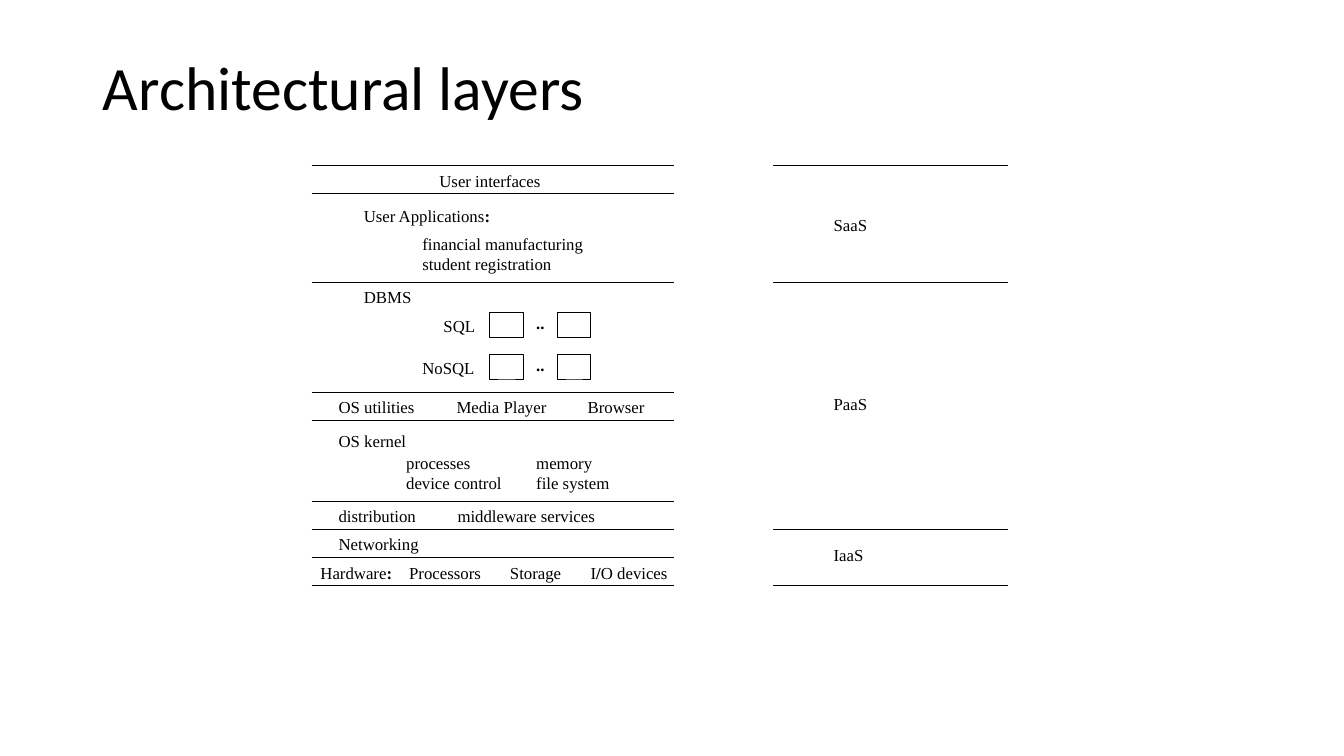
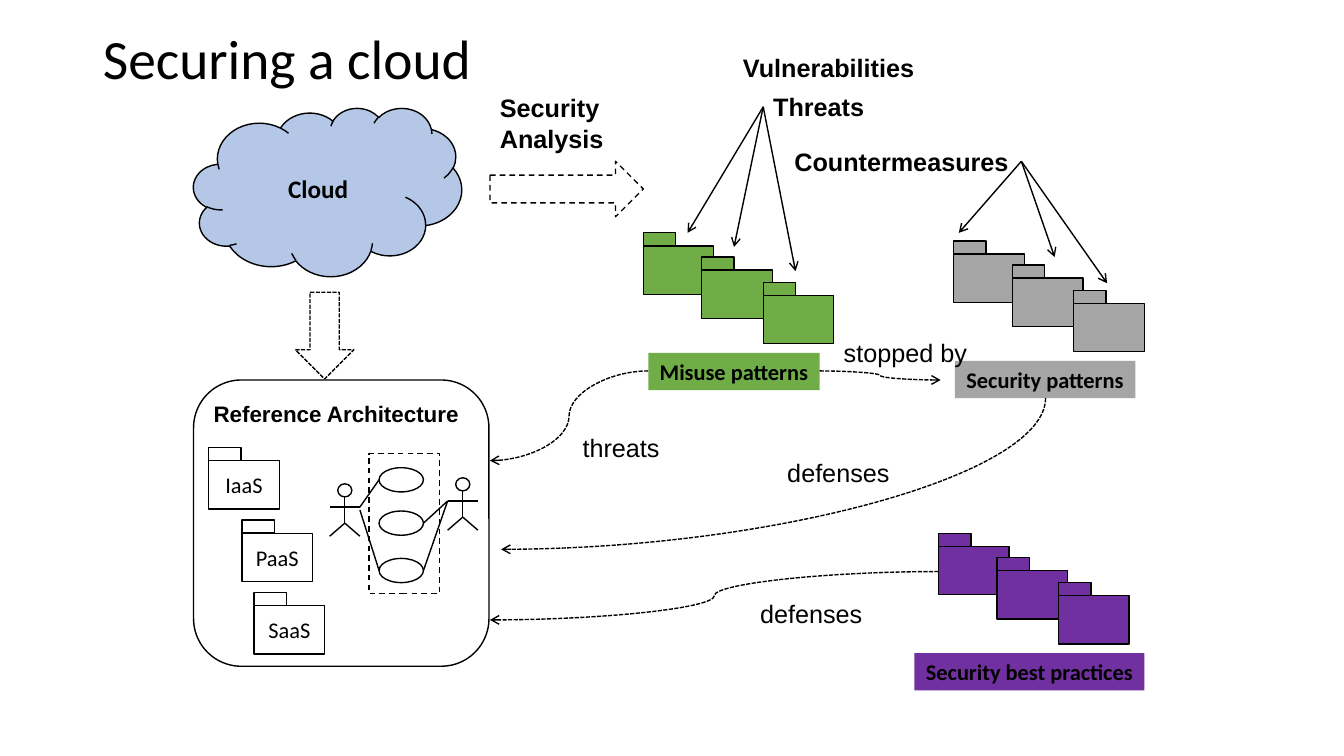
from lxml.etree import SubElement
from pptx import Presentation
from pptx.dml.color import RGBColor
from pptx.enum.dml import MSO_LINE
from pptx.enum.shapes import MSO_CONNECTOR, MSO_SHAPE
from pptx.enum.text import MSO_ANCHOR, PP_ALIGN
from pptx.oxml.ns import qn
from pptx.util import Pt

PX = 9144  # 100 px to the inch
BLACK, WHITE = "000000", "FFFFFF"
BLUE, GREEN, GRAY, PURPLE = "B4C7E7", "70AD47", "A5A5A5", "7030A0"
SERIF, SANS, BODY = "Times New Roman", "Arial", "Calibri"
RECT, OVAL = MSO_SHAPE.RECTANGLE, MSO_SHAPE.OVAL
DASH, DOTS = MSO_LINE.DASH, MSO_LINE.SQUARE_DOT
color = RGBColor.from_string


def put(parent, kind, box, text="", face=BODY, size=16, bold=False,
        fill=None, width=1, dash=None, wrap=True, tabs=()):
    """Add a shape, or a text box if kind is None; "|" switches bold."""
    box = [v * PX for v in box]
    if kind is None:
        shape = parent.add_textbox(*box)
    else:
        shape = parent.add_shape(kind, *box)
        shape.shadow.inherit = False
        if fill:
            shape.fill.solid()
            shape.fill.fore_color.rgb = color(fill)
        else:
            shape.fill.background()
        if width:
            shape.line.color.rgb = color(BLACK)
            shape.line.width = Pt(width)
            shape.line.dash_style = dash
        else:
            shape.line.fill.background()
    if not text:
        return shape
    frame = shape.text_frame
    frame.word_wrap = wrap
    frame.vertical_anchor = MSO_ANCHOR.MIDDLE if kind else MSO_ANCHOR.TOP
    for i, row in enumerate(text.split("\n")):
        para = frame.add_paragraph() if i else frame.paragraphs[0]
        para.alignment = PP_ALIGN.CENTER if kind else PP_ALIGN.LEFT
        if tabs:
            stops = SubElement(para._p.get_or_add_pPr(), qn("a:tabLst"))
            for x in tabs:
                SubElement(stops, qn("a:tab"), pos=str(x * PX), algn="l")
        for j, piece in enumerate(row.split("|")):
            run = para.add_run()
            run.text = piece
            run.font.name, run.font.size = face, Pt(size)
            run.font.bold = bold or j % 2 == 1
            run.font.color.rgb = color(BLACK)
    return shape


def link(parent, start, end, kind=MSO_CONNECTOR.STRAIGHT, width=1,
         dash=None, arrow=False):
    """Add a black connector, with an open arrowhead at its end if asked."""
    line = parent.add_connector(kind, *[v * PX for v in (*start, *end)])
    line.line.color.rgb = color(BLACK)
    line.line.width = Pt(width)
    line.line.dash_style = dash
    props = line.element.spPr
    if arrow:
        SubElement(props.find(qn("a:ln")), qn("a:tailEnd"), type="arrow")
    SubElement(props, qn("a:effectLst"))
    return line


deck = Presentation()
deck.slide_width, deck.slide_height = 1333 * PX, 750 * PX

# Slides and titles
pages = []
for name, height, size in (("Architectural layers", 100, 44),
                           ("Securing a cloud", 42, 39.6)):
    slide = deck.slides.add_slide(deck.slide_layouts[5])
    title = slide.shapes.title
    title.left, title.top = 92 * PX, 40 * PX
    title.width, title.height = 1150 * PX, height * PX
    frame = title.text_frame
    frame.text = name
    frame.vertical_anchor = MSO_ANCHOR.MIDDLE
    para = frame.paragraphs[0]
    para.alignment, para.line_spacing = PP_ALIGN.LEFT, 0.9
    font = para.runs[0].font
    font.name, font.size, font.color.rgb = BODY, Pt(size), color(BLACK)
    pages.append(slide.shapes)
layers, cloud = pages

# Layer rules
for left, right, tops in (
        (309, 668, (164, 192, 280, 389, 417, 497, 525, 553, 581)),
        (767, 1000, (164, 280, 525, 581))):
    for y in tops:
        link(layers, (left, y), (right, y), width=0.5)

# Layer labels
for x, y, w, h, text, tabs in (
        (426, 164, 150, 30, "User interfaces", ()),
        (351, 199, 150, 30, "User Applications|:", ()),
        (409, 227, 208, 51, "financial manufacturing\nstudent registration", ()),
        (351, 280, 92, 30, "DBMS", ()),
        (430, 308, 75, 30, "SQL", ()),
        (409, 350, 75, 30, "NoSQL", ()),
        (326, 389, 333, 30, "OS utilities\tMedia Player\tBrowser", (117, 247)),
        (326, 422, 92, 30, "OS kernel", ()),
        (393, 444, 242, 51, "processes\tmemory\ndevice control\tfile system", (129,)),
        (326, 497, 333, 30, "distribution\tmiddleware services", (118,)),
        (326, 525, 333, 30, "Networking", ()),
        (308, 553, 383, 30, "Hardware|:|\tProcessors\tStorage\tI|/|O devices",
         (88, 188, 268)),
        (817, 208, 92, 30, "SaaS", ()),
        (817, 386, 92, 30, "PaaS", ()),
        (817, 536, 92, 30, "IaaS", ())):
    put(layers, None, (x, y, w, h), text, SERIF, 12, tabs=tabs)

# Database boxes
for y in (310, 352):
    for x in (486, 553):
        put(layers, RECT, (x, y, 33, 25), fill=WHITE, width=0.75)
    put(layers, None, (522, y - 5, 33, 30), "..", SERIF, 12, True)

# Reference architecture frame
put(cloud, MSO_SHAPE.ROUNDED_RECTANGLE, (192, 377, 293, 284))
put(cloud, None, (202, 392, 266, 37), "Reference Architecture", SANS, 16, True,
    wrap=False)

# Folders: single ones with a name, and stacks above a label
stacks = [([(207, 444, "IaaS"), (240, 516, "PaaS"), (252, 588, "SaaS")],
           WHITE, None, "")]
for x, y, fill, left, width, text in (
        (638, 231, GREEN, 643, 170, "Misuse patterns"),
        (946, 239, GRAY, 947, 179, "Security patterns"),
        (931, 529, PURPLE, 907, 228, "Security best practices")):
    steps = [(x + dx, y + dy, "") for dx, dy in ((0, 0), (58, 24), (119, 49))]
    stacks.append((steps, fill, (left, y + 119, width, 37), text))
for steps, fill, box, text in stacks:
    group = cloud.add_group_shape().shapes
    for x, y, name in steps:
        put(group, RECT, (x, y + 13, 70, 48), name, fill=fill)
        put(group, RECT, (x, y, 32, 13), fill=fill)
    if box:
        put(group, RECT, box, text, bold=True, fill=fill, width=0, wrap=False)

# Use case diagram
case = cloud.add_group_shape().shapes
for x, y in ((342, 480), (459, 474)):
    put(case, OVAL, (x - 7, y, 14, 13), fill=WHITE)
    for start, end in (((0, 13), (0, 39)), ((15, 23), (-15, 23)),
                       ((0, 39), (-15, 52)), ((0, 39), (15, 52))):
        link(case, (x + start[0], y + start[1]), (x + end[0], y + end[1]))
for y in (464, 507, 554):
    put(case, OVAL, (376, y, 44, 24), fill=WHITE)
for start, end in (((357, 503), (376, 476)), ((357, 506), (376, 566)),
                   ((444, 497), (420, 519)), ((444, 497), (420, 566))):
    link(case, start, end)
put(case, RECT, (366, 450, 70, 139), dash=DASH)

# Cloud and block arrows
put(cloud, MSO_SHAPE.CLOUD, (192, 107, 266, 167), "Cloud", size=18, bold=True,
    fill=BLUE)
put(cloud, MSO_SHAPE.DOWN_ARROW, (293, 290, 58, 86), fill=WHITE, dash=DOTS)
put(cloud, MSO_SHAPE.RIGHT_ARROW, (486, 160, 152, 55), fill=WHITE, dash=DASH)

# Headings and arrow labels
for x, y, w, h, text, bold in (
        (757, 86, 111, 40, "Threats", True),
        (727, 47, 192, 40, "Vulnerabilities", True),
        (778, 140, 235, 40, "Countermeasures", True),
        (486, 87, 124, 71, "Security\nAnalysis", True),
        (827, 330, 144, 40, "stopped by", False),
        (568, 424, 97, 40, "threats", False),
        (771, 449, 123, 40, "defenses", False),
        (744, 589, 123, 40, "defenses", False)):
    put(cloud, None, (x, y, w, h), text, SANS, 18, bold, wrap=False)

# Arrows from the headings to the folders
for start, ends in (((757, 106), ((682, 231), (728, 245), (789, 269))),
                    ((1013, 160), ((951, 231), (1046, 255), (1098, 281)))):
    for end in ends:
        link(cloud, start, end, arrow=True)

# Curved arrows
for start, end in (((813, 368), (933, 377)), ((643, 368), (486, 457)),
                   ((931, 567), (486, 615))):
    link(cloud, start, end, MSO_CONNECTOR.CURVE, dash=DOTS, arrow=True)

# Single bend, turned a quarter so that it leaves downwards
bend = link(cloud, (692, 200), (842, 740), MSO_CONNECTOR.CURVE, dash=DOTS,
            arrow=True).element.spPr
bend.find(qn("a:prstGeom")).set("prst", "curvedConnector2")
bend.find(qn("a:xfrm")).set("rot", "5400000")

deck.save("out.pptx")
